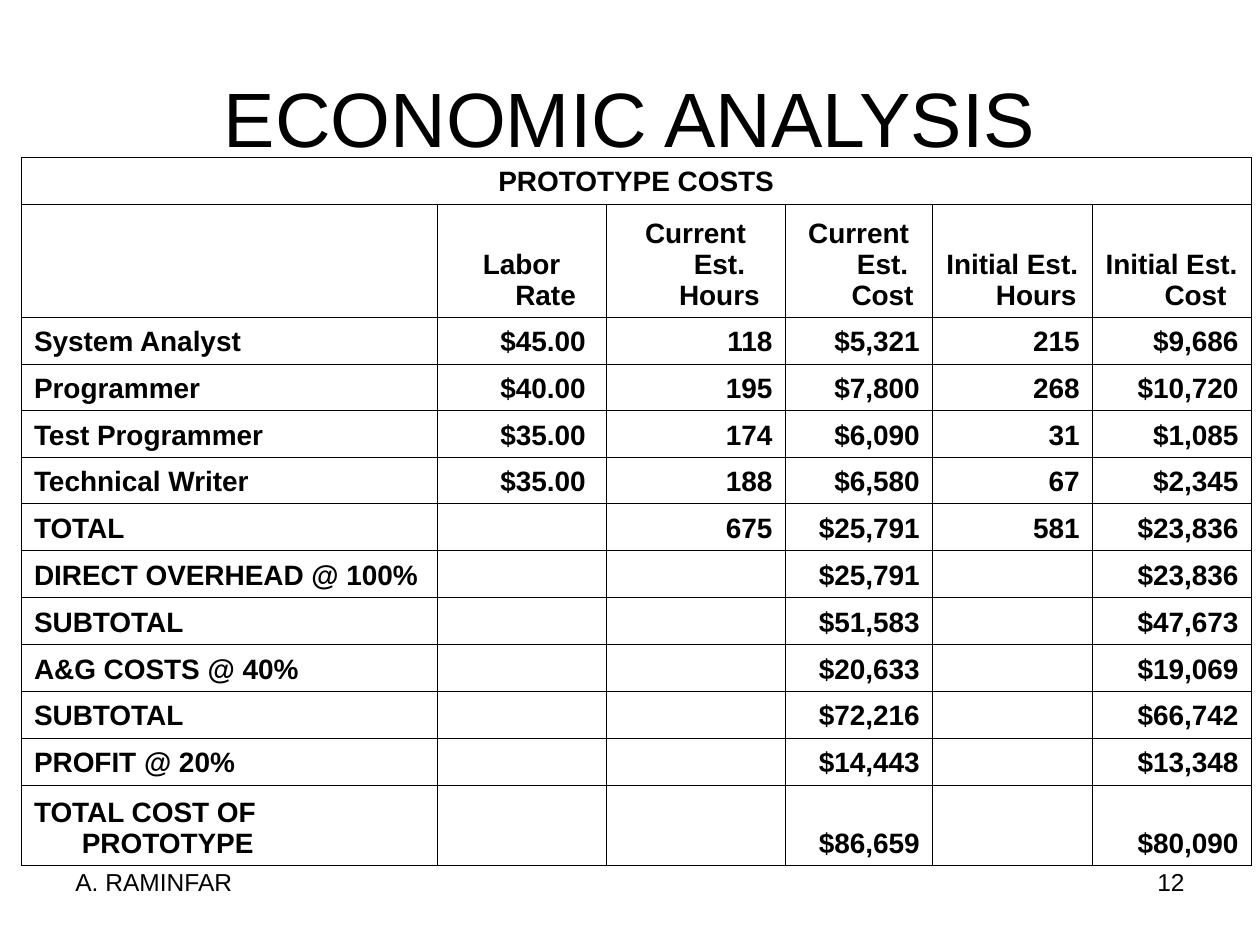
from dataclasses import dataclass

from lxml.etree import SubElement
from pptx import Presentation
from pptx.dml.color import RGBColor
from pptx.enum.text import MSO_ANCHOR, PP_ALIGN
from pptx.oxml import parse_xml
from pptx.oxml.ns import nsdecls, qn
from pptx.util import Inches, Pt


@dataclass(frozen=True)
class Theme:
    """Colours, typeface, type sizes and line width of the slide."""
    font: str = "Arial"
    ink: str = "000000"
    paper: str = "FFFFFF"
    title: int = 44
    body: int = 16
    footer: int = 14
    rule: float = 0.45


THEME = Theme()
UNIT = 0.1
COLS, ROWS = 100, 75
COL_SPANS = (33, 13.4, 14.2, 11.7, 12.7, 12.6)
ROW_SPANS = (3.7, 9, *[3.7] * 10, 6.4)
HANGING = 3.8

HEADINGS = ("", "Labor Rate", "Current Est. Hours", "Current Est. Cost",
            "Initial Est. Hours", "Initial Est. Cost")
COSTS = (
    ("System Analyst", "$45.00 ", "118", "$5,321", "215", "$9,686"),
    ("Programmer", "$40.00 ", "195", "$7,800", "268", "$10,720"),
    ("Test Programmer", "$35.00 ", "174", "$6,090", "31", "$1,085"),
    ("Technical Writer", "$35.00 ", "188", "$6,580", "67", "$2,345"),
    ("TOTAL", "", "675", "$25,791", "581", "$23,836"),
    ("DIRECT OVERHEAD @ 100%", "", "", "$25,791", "", "$23,836"),
    ("SUBTOTAL", "", "", "$51,583", "", "$47,673"),
    ("A&G COSTS @ 40%", "", "", "$20,633", "", "$19,069"),
    ("SUBTOTAL", "", "", "$72,216", "", "$66,742"),
    ("PROFIT @ 20%", "", "", "$14,443", "", "$13,348"),
    ("TOTAL COST OF PROTOTYPE", "", "", "$86,659", "", "$80,090"),
)


def grid(*spans):
    """Turn counts of grid units into lengths."""
    return [Inches(n * UNIT) for n in spans]


def write(tf, text, size=THEME.body, bold=False, align=PP_ALIGN.LEFT, hanging=0):
    """Put one formatted paragraph into a text frame."""
    p = tf.paragraphs[0]
    p.alignment = align
    if hanging:
        indent, = grid(hanging)
        pPr = p._p.get_or_add_pPr()
        pPr.set("marL", str(indent))
        pPr.set("indent", str(-indent))
    if not text:
        SubElement(p._p, qn("a:endParaRPr")).set("sz", str(size * 100))
        return
    r = p.add_run()
    r.text = text
    r.font.name, r.font.size, r.font.bold = THEME.font, Pt(size), bold
    r.font.color.rgb = RGBColor.from_string(THEME.ink)


def add_title(s, text):
    """Place and fill the title placeholder."""
    sp = s.shapes.title
    sp.left, sp.top, sp.width, sp.height = grid(5, 3, 90, 12.5)
    sp.text_frame.vertical_anchor = MSO_ANCHOR.MIDDLE
    write(sp.text_frame, text, size=THEME.title, align=PP_ALIGN.CENTER)


def add_footer(s, text, left, align):
    """Add a small text box at the foot of the slide."""
    sp = s.shapes.add_textbox(*grid(left, 68.3, 23.3, 5.2))
    sp.text_frame.word_wrap = True
    write(sp.text_frame, text, size=THEME.footer, align=align)


def format_cell(cell):
    """Clear a cell's fill, anchor it low and rule its four sides."""
    cell.vertical_anchor = MSO_ANCHOR.BOTTOM
    cell.fill.background()
    tcPr = cell._tc.get_or_add_tcPr()
    for i, side in enumerate("LRTB"):
        tcPr.insert(i, parse_xml(
            f'<a:ln{side} {nsdecls("a")} w="{Pt(THEME.rule)}"><a:solidFill>'
            f'<a:srgbClr val="{THEME.ink}"/></a:solidFill></a:ln{side}>'))


def alignment(row, col):
    """Centre the headings, left-align labels and right-align values."""
    if row < 2:
        return PP_ALIGN.CENTER
    return PP_ALIGN.RIGHT if col else PP_ALIGN.LEFT


def add_cost_table(s, caption, headings, costs):
    """Add the ruled table under its merged caption row."""
    rows = ((caption, *[""] * (len(headings) - 1)), headings, *costs)
    frame = s.shapes.add_table(
        len(rows), len(headings),
        *grid(1.7, 12.5, sum(COL_SPANS), sum(ROW_SPANS)))
    table = frame.table
    table.first_row = table.horz_banding = False
    for col, width in zip(table.columns, grid(*COL_SPANS)):
        col.width = width
    for row, height in zip(table.rows, grid(*ROW_SPANS)):
        row.height = height
    for i, texts in enumerate(rows):
        for j, text in enumerate(texts):
            cell = table.cell(i, j)
            format_cell(cell)
            write(cell.text_frame, text, bold=True,
                  align=alignment(i, j), hanging=HANGING)
    table.cell(0, 0).merge(table.cell(0, len(headings) - 1))


def main():
    """Build and save the slide."""
    prs = Presentation()
    prs.slide_width, prs.slide_height = grid(COLS, ROWS)
    s = prs.slides.add_slide(prs.slide_layouts[5])
    s.background.fill.solid()
    s.background.fill.fore_color.rgb = RGBColor.from_string(THEME.paper)
    add_title(s, "ECONOMIC ANALYSIS")
    add_cost_table(s, "PROTOTYPE COSTS", HEADINGS, COSTS)
    add_footer(s, "12", 71.7, PP_ALIGN.RIGHT)
    add_footer(s, "A. RAMINFAR", 5, PP_ALIGN.LEFT)
    prs.save("out.pptx")


if __name__ == "__main__":
    main()
